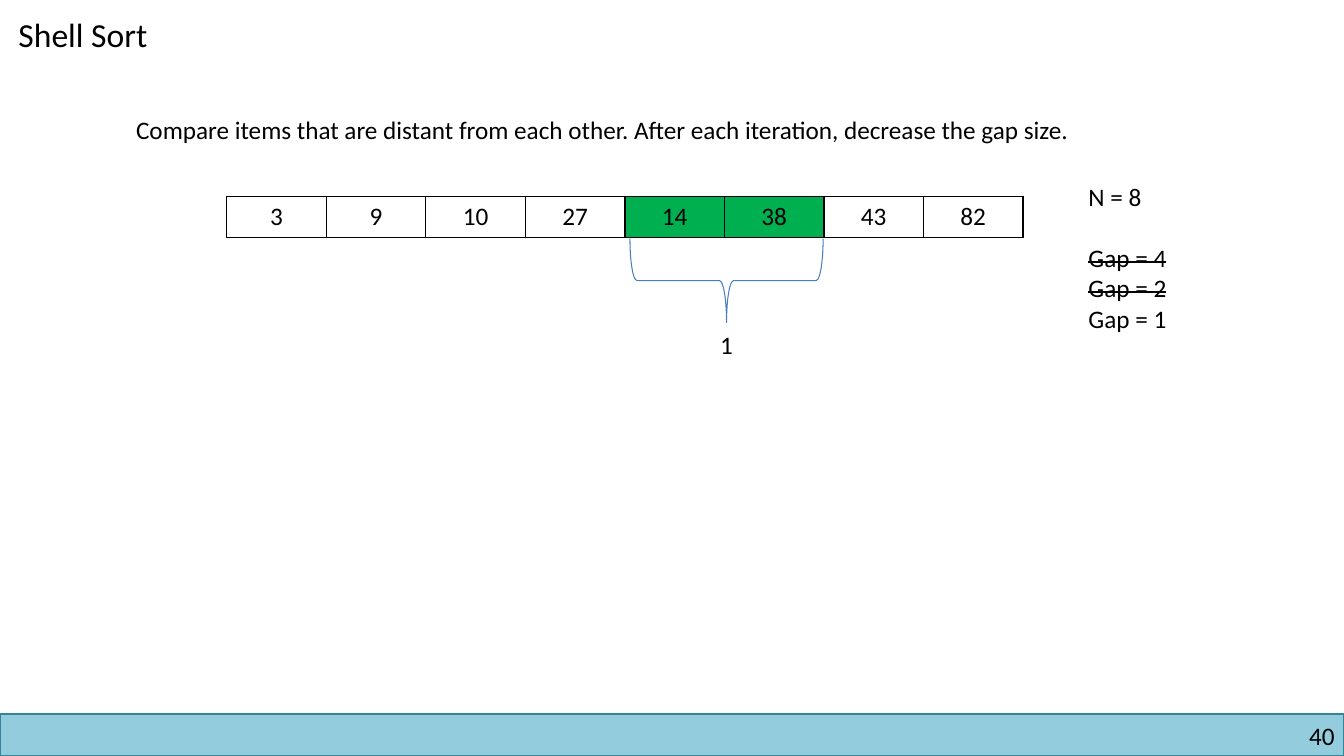
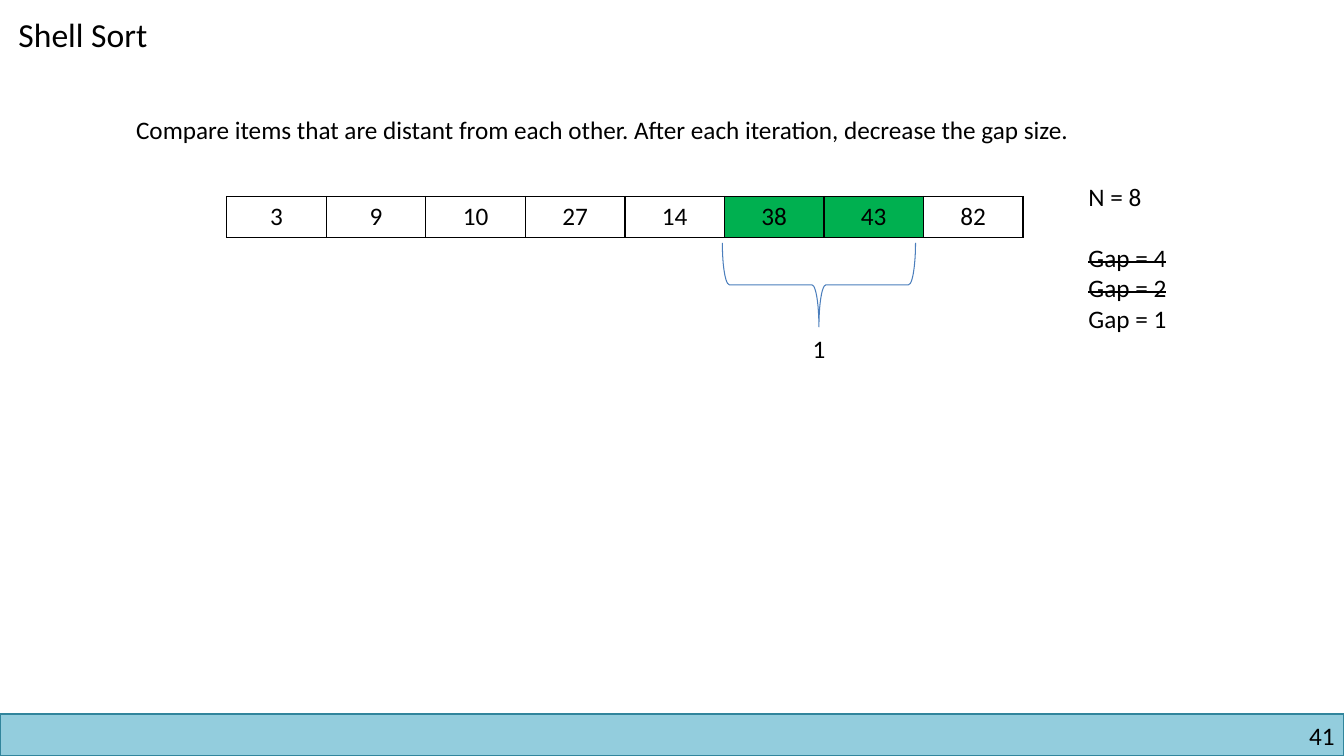
from lxml.etree import SubElement as Sub
from pptx import Presentation
from pptx.dml.color import RGBColor
from pptx.enum.shapes import MSO_SHAPE as Kind
from pptx.enum.text import MSO_ANCHOR as Anchor, MSO_AUTO_SIZE as Fit, PP_ALIGN as Align
from pptx.oxml.ns import qn
from pptx.util import Inches, Pt

BLACK = RGBColor(0x00, 0x00, 0x00)
WHITE = RGBColor(0xFF, 0xFF, 0xFF)
GREEN = RGBColor(0x00, 0xB0, 0x50)
BLUE = RGBColor(0x4B, 0x7E, 0xBC)
AQUA = RGBColor(0x93, 0xCD, 0xDD)
TEAL = RGBColor(0x31, 0x85, 0x9C)

FONT = "Calibri"
UNIT = Inches(1 / 12)
COLS, ROWS = 160, 90
ITEMS = [3, 9, 10, 27, 14, 38, 43, 82]
CLAIM = ("Compare items that are distant from each other. "
         "After each iteration, decrease the gap size.")
NOTES = [("N = 8", False, 0), ("Gap = 4", True, 22),
         ("Gap = 2", True, 0), ("Gap = 1", False, 0)]
STEPS = [(40, 4, 86.5, 33.4), (41, 5, 97.5, 33.9)]


def grid(*spans):
    return [round(span * UNIT) for span in spans]


def style(para, size=18, align=Align.LEFT, gap=0):
    para.alignment = align
    para.space_before = Pt(gap)
    font = para.font
    font.name, font.size = FONT, Pt(size)
    font.color.rgb = BLACK


def fill_holder(shape, text, box, size):
    shape.left, shape.top, shape.width, shape.height = grid(*box)
    frame = shape.text_frame
    frame.text = text
    frame.auto_size = Fit.NONE
    frame.vertical_anchor = Anchor.TOP
    para = frame.paragraphs[0]
    props = para._p.get_or_add_pPr()
    props.set("marL", "0")
    props.set("indent", "0")
    Sub(props, qn("a:buNone"))
    style(para, size)


def add_text(slide, lines, box, align=Align.LEFT, inset=True):
    frame = slide.shapes.add_textbox(*grid(*box)).text_frame
    frame.word_wrap = True
    if not inset:
        frame.margin_left = frame.margin_right = 0
        frame.margin_top = frame.margin_bottom = 0
    for place, (text, struck, gap) in enumerate(lines):
        para = frame.add_paragraph() if place else frame.paragraphs[0]
        run = para.add_run()
        run.text = text
        if struck:
            run._r.get_or_add_rPr().set("strike", "sngStrike")
        style(para, align=align, gap=gap)


def add_shape(slide, kind, box, line, width, fill=None):
    shape = slide.shapes.add_shape(kind, *grid(*box))
    shape.shadow.inherit = False
    shape.line.color.rgb = line
    shape.line.width = Pt(width)
    if fill is None:
        shape.fill.background()
    else:
        shape.fill.solid()
        shape.fill.fore_color.rgb = fill
    return shape


def add_borders(cell):
    props = cell._tc.get_or_add_tcPr()
    for side in ("lnL", "lnR", "lnT", "lnB"):
        edge = Sub(props, qn("a:" + side), w=str(Pt(1)))
        solid = Sub(edge, qn("a:solidFill"))
        Sub(solid, qn("a:srgbClr"), val=str(BLACK))


def add_array(slide, first):
    table = slide.shapes.add_table(1, len(ITEMS), *grid(27, 23.4, 94.8, 4.9)).table
    table.first_row = table.horz_banding = False
    for place, item in enumerate(ITEMS):
        cell = table.cell(0, place)
        cell.text = str(item)
        style(cell.text_frame.paragraphs[0], align=Align.CENTER)
        add_borders(cell)
        cell.fill.solid()
        cell.fill.fore_color.rgb = GREEN if first <= place <= first + 1 else WHITE


def add_brace(slide, mid, row):
    wide, tall = 10, 23
    box = (mid - wide / 2, row - tall / 2, wide, tall)
    add_shape(slide, Kind.LEFT_BRACE, box, BLUE, 0.75).rotation = 270
    add_text(slide, [("1", False, 0)], (mid - 2, row + 5.2, 4, 4.8), Align.CENTER)


def add_frame(slide, number):
    add_shape(slide, Kind.RECTANGLE, (0, 85, COLS, 5), TEAL, 1, AQUA)
    add_text(slide, [(str(number), False, 0)], (122, 85.8, 36.9, 3.6), Align.RIGHT, False)
    fill_holder(slide.shapes.title, "Shell Sort", (1, 1, 40, 6), 24)


def add_step(deck, number, first, mid, row):
    slide = deck.slides.add_slide(deck.slide_layouts[1])
    add_frame(slide, number)
    fill_holder(slide.placeholders[1], CLAIM, (15, 13, 124, 4.8), 18)
    add_array(slide, first)
    add_text(slide, NOTES, (128.4, 21, 14, 19.4))
    add_brace(slide, mid, row)


def main():
    deck = Presentation()
    deck.slide_width, deck.slide_height = grid(COLS, ROWS)
    for step in STEPS:
        add_step(deck, *step)
    deck.save("out.pptx")


if __name__ == "__main__":
    main()
